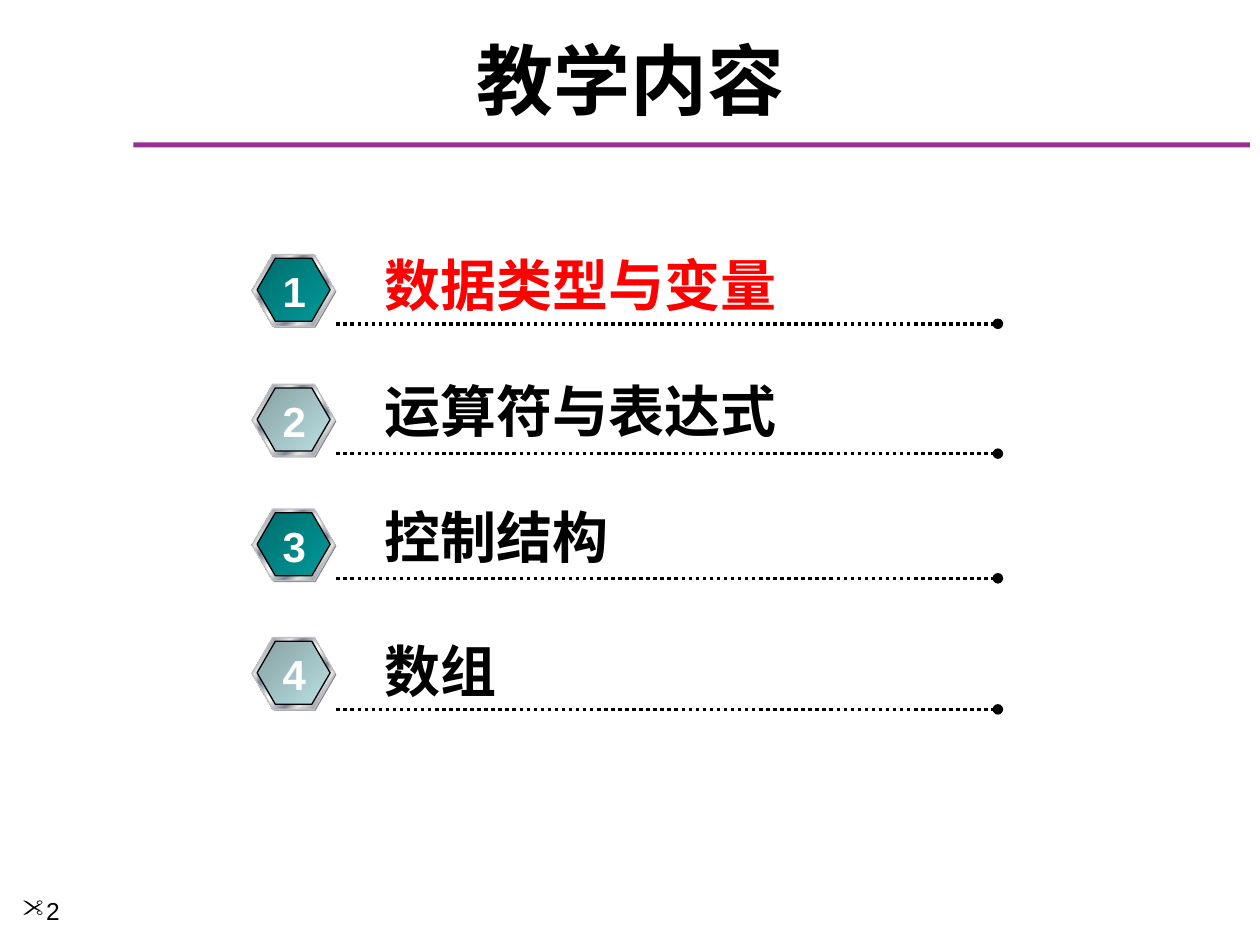
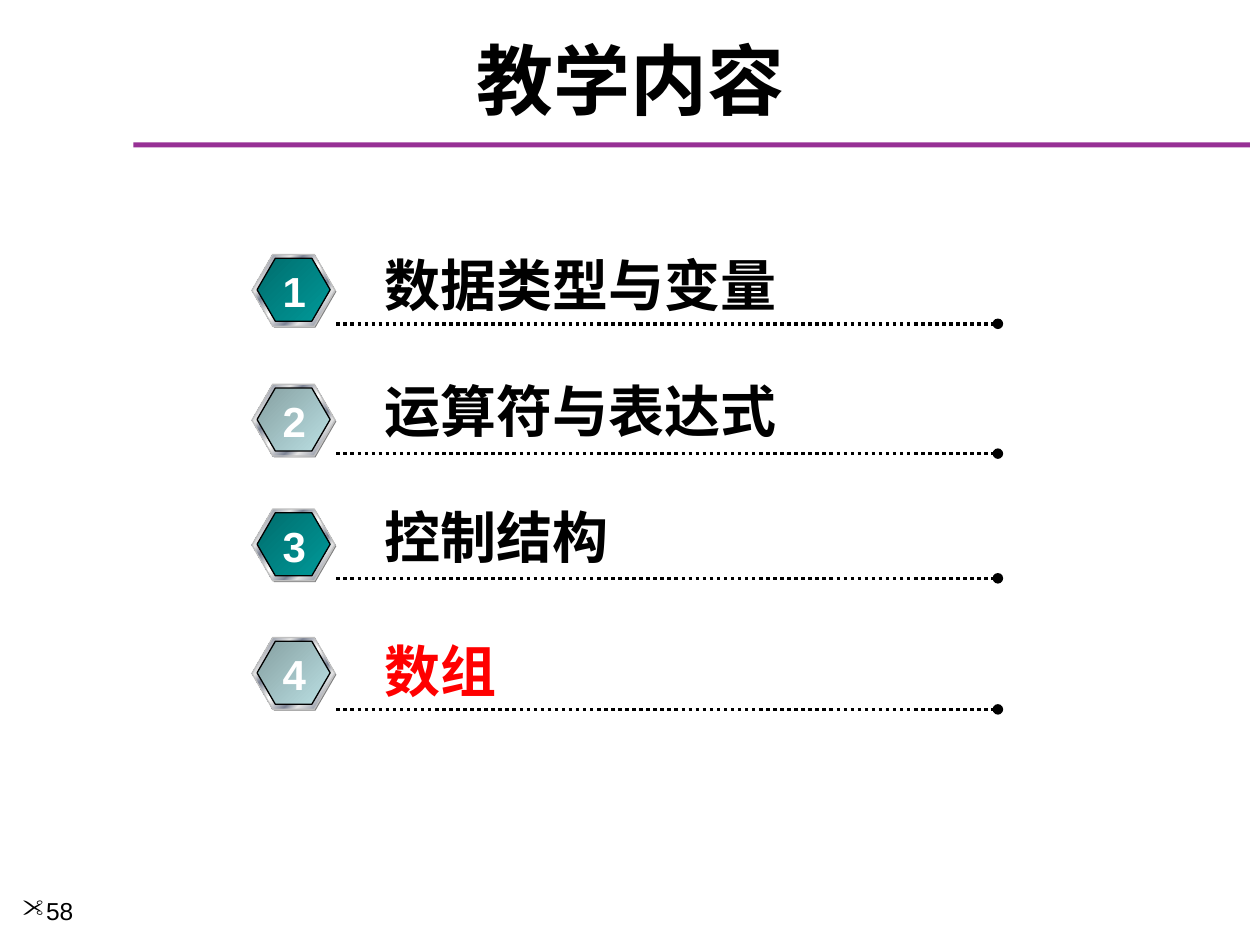
from lxml import etree
from pptx import Presentation
from pptx.dml.color import RGBColor
from pptx.enum.dml import MSO_LINE
from pptx.enum.shapes import MSO_CONNECTOR, MSO_SHAPE
from pptx.enum.text import MSO_ANCHOR, MSO_AUTO_SIZE, PP_ALIGN
from pptx.oxml.ns import qn
from pptx.util import Inches, Pt

RECTANGLE, HEXAGON = MSO_SHAPE.RECTANGLE, MSO_SHAPE.HEXAGON
STRAIGHT = MSO_CONNECTOR.STRAIGHT
DOTTED = MSO_LINE.ROUND_DOT
MIDDLE, TOP = MSO_ANCHOR.MIDDLE, MSO_ANCHOR.TOP
LEFT, CENTER = PP_ALIGN.LEFT, PP_ALIGN.CENTER
FIT_TEXT = MSO_AUTO_SIZE.SHAPE_TO_FIT_TEXT

BLACK = RGBColor(0x00, 0x00, 0x00)
WHITE = RGBColor(0xFF, 0xFF, 0xFF)
RED = RGBColor(0xFF, 0x00, 0x00)
PURPLE = RGBColor(0x97, 0x30, 0x95)
GRAY = RGBColor(0x80, 0x80, 0x80)
SILVER = RGBColor(0xC0, 0xC0, 0xC0)
LIGHT_STEEL = RGBColor(0xE6, 0xE6, 0xE6)
DARK_STEEL = RGBColor(0x7D, 0x84, 0x96)
DARK_TEAL = RGBColor(0x00, 0x6D, 0x6D)
TEAL = RGBColor(0x00, 0x99, 0x99)
DARK_MIST = RGBColor(0x86, 0xA0, 0xA2)
MIST = RGBColor(0xBB, 0xE0, 0xE3)

TITLE_FONT = "Noto Sans CJK SC"
BODY_FONT = "Arial"

STEEL_STOPS = [
    (0, LIGHT_STEEL), (8, DARK_STEEL), (26, LIGHT_STEEL), (34, DARK_STEEL),
    (46, LIGHT_STEEL), (50, WHITE), (54, LIGHT_STEEL), (66, DARK_STEEL),
    (74, LIGHT_STEEL), (92, DARK_STEEL), (100, LIGHT_STEEL),
]
BADGE_STOPS = [
    [(0, DARK_TEAL), (100, TEAL)],
    [(0, DARK_MIST), (100, MIST)],
]

TOPICS = [
    ("数据类型与变量", 1.94, 3.36, 2.02, 2.57),
    ("运算符与表达式", 2.94, 3.48, 3.05, 3.6),
    ("控制结构", 3.94, 2, 4.04, 4.59),
    ("数组", 5, 1.1, 5.06, 5.63),
]
PAGES = [("2", "数据类型与变量"), ("58", "数组")]


def add_text(shapes, text, left, top, width, height, size, color,
             font=BODY_FONT, bold=True, align=LEFT, anchor=TOP, fit=False):
    box = shapes.add_textbox(Inches(left), Inches(top), Inches(width), Inches(height))
    frame = box.text_frame
    frame.text = text
    frame.word_wrap = not fit
    frame.vertical_anchor = anchor
    if fit:
        frame.auto_size = FIT_TEXT
    paragraph = frame.paragraphs[0]
    paragraph.alignment = align
    run = paragraph.runs[0]
    run.font.size = Pt(size)
    run.font.bold = bold
    run.font.name = font
    run.font.color.rgb = color
    if font == TITLE_FONT:
        etree.SubElement(run.font._element, qn("a:ea")).set("typeface", font)
    return paragraph


def add_hexagon(shapes, left, top, width, height, stops, outline):
    hexagon = shapes.add_shape(
        HEXAGON, Inches(left), Inches(top), Inches(width), Inches(height))
    hexagon.shadow.inherit = False
    hexagon.adjustments[0] = 0.29
    hexagon.fill.gradient()
    hexagon.fill.gradient_angle = 315
    stop_list = hexagon._element.spPr.find(qn("a:gradFill")).find(qn("a:gsLst"))
    for old_stop in list(stop_list):
        stop_list.remove(old_stop)
    for percent, color in stops:
        stop = etree.SubElement(stop_list, qn("a:gs"), pos=str(percent * 1000))
        etree.SubElement(stop, qn("a:srgbClr"), val=str(color))
    hexagon.line.color.rgb = outline
    hexagon.line.width = Pt(0.75)


prs = Presentation()
prs.slide_width = Inches(10)
prs.slide_height = Inches(7.5)

for page_number, current_topic in PAGES:
    slide = prs.slides.add_slide(prs.slide_layouts[6])

    title_rule = slide.shapes.add_shape(
        RECTANGLE, Inches(1.06), Inches(1.13), Inches(8.86), Inches(0.04))
    title_rule.shadow.inherit = False
    title_rule.fill.solid()
    title_rule.fill.fore_color.rgb = PURPLE
    title_rule.line.fill.background()

    add_text(slide.shapes, "教学内容", 0.17, 0.25, 9.67, 0.75, 44, BLACK,
             font=TITLE_FONT, align=CENTER, anchor=MIDDLE)

    footer = add_text(slide.shapes, page_number, 0.08, 7.06, 1.08, 0.44, 14, BLACK,
                      bold=False)
    footer_format = footer._p.get_or_add_pPr()
    footer_format.set("marL", "0")
    footer_format.set("indent", "0")
    etree.SubElement(footer_format, qn("a:buFont"), typeface="Wingdings", charset="2")
    etree.SubElement(footer_format, qn("a:buChar"), char='"')

    for index, (topic, text_top, text_width, badge_top, line_y) in enumerate(TOPICS):
        leader = slide.shapes.add_connector(
            STRAIGHT, Inches(2.67), Inches(line_y), Inches(7.92), Inches(line_y))
        leader.line.color.rgb = BLACK
        leader.line.width = Pt(2)
        leader.line.dash_style = DOTTED
        etree.SubElement(leader.line._get_or_add_ln(), qn("a:tailEnd"), type="oval")
        etree.SubElement(leader._element.spPr, qn("a:effectLst"))

        add_text(slide.shapes, topic, 2.95, text_top, text_width, 0.64, 32,
                 RED if topic == current_topic else BLACK, fit=True)

        badge = slide.shapes.add_group_shape().shapes
        shade = badge.add_shape(
            HEXAGON, Inches(2.01), Inches(badge_top + 0.01), Inches(0.66), Inches(0.57))
        shade.shadow.inherit = False
        shade.adjustments[0] = 0.29
        shade.fill.solid()
        shade.fill.fore_color.rgb = GRAY
        shade.line.fill.background()
        add_hexagon(badge, 2, badge_top, 0.66, 0.57, STEEL_STOPS, SILVER)
        add_hexagon(badge, 2.04, badge_top + 0.03, 0.58, 0.5,
                    BADGE_STOPS[index % 2], BLACK)
        add_text(badge, str(index + 1), 2.14, badge_top + 0.04, 0.39, 0.5, 24, WHITE,
                 align=CENTER, fit=True)

prs.save("out.pptx")
